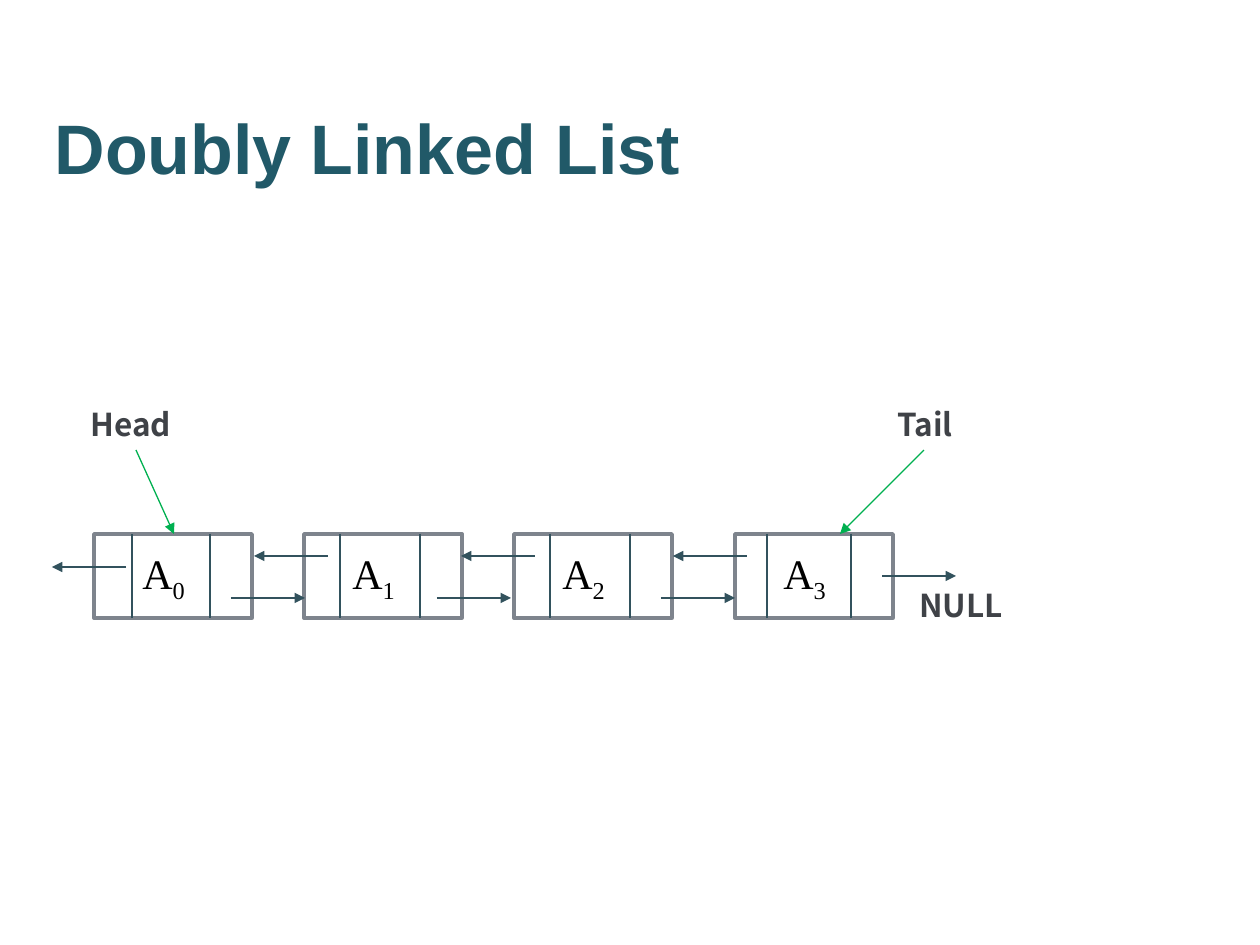
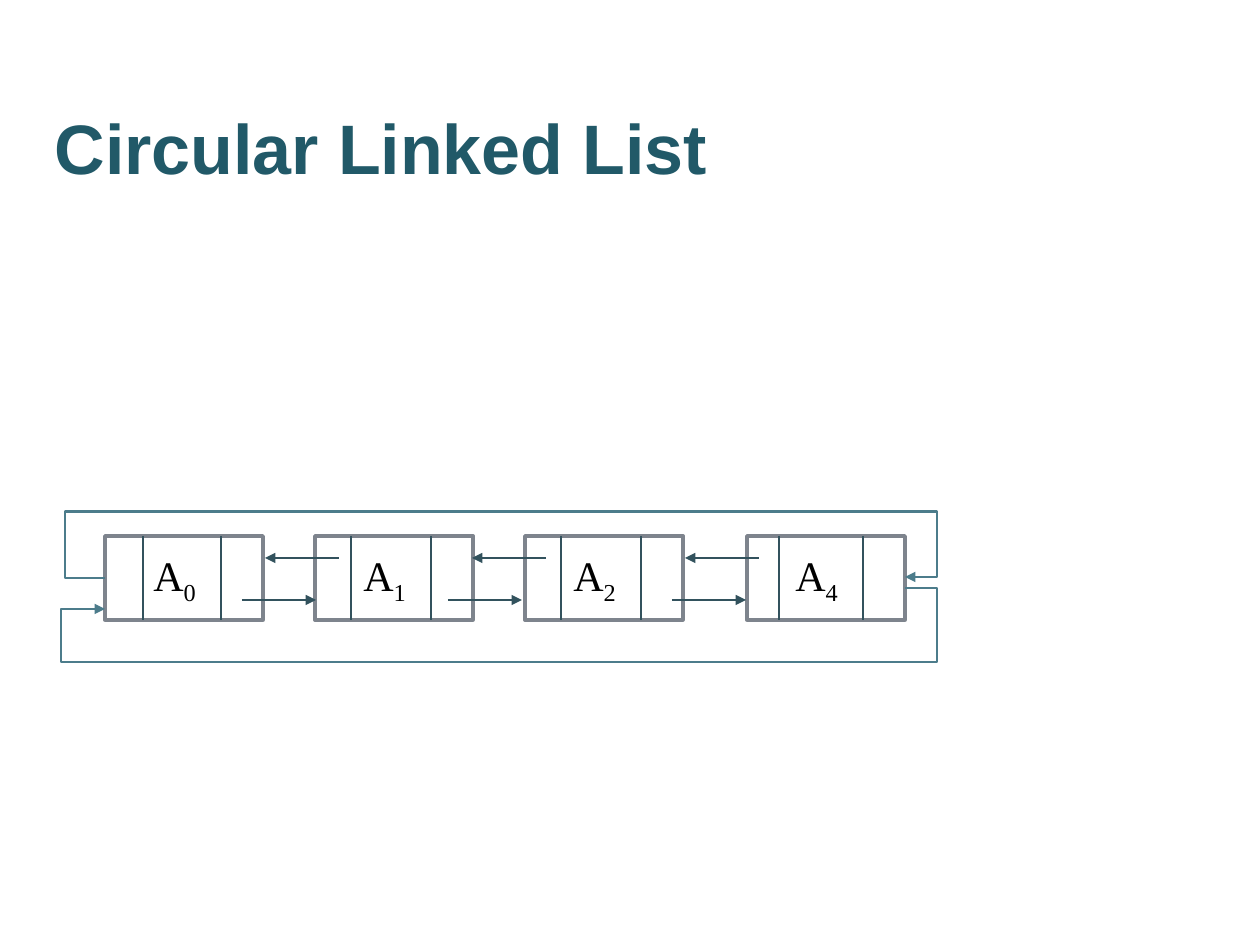
import pptx
import pptx.util
import pptx.dml.color
import pptx.enum.shapes
import pptx.enum.text
import pptx.oxml
import pptx.oxml.ns

# Content: lengths are pixels, 126 to the inch
LISTS = [
    {
        "title": "Doubly Linked List",
        "top": 534,
        "nodes": [("0", 94), ("1", 304), ("2", 514), ("3", 735)],
        "labels": [("Head", 73, 399), ("Tail", 867, 399), ("NULL", 903, 580)],
        "pointers": [(136, 450, 174, 534), (924, 450, 840, 534)],
        "ends": [(882, 576, 956, 576), (126, 567, 52, 567)],
        "loops": [],
    },
    {
        "title": "Circular Linked List",
        "top": 536,
        "nodes": [("0", 105), ("1", 315), ("2", 525), ("4", 747)],
        "labels": [],
        "pointers": [],
        "ends": [],
        # start, end, then the x, y and x that the bends pass through
        "loops": [
            ((905, 588, 105, 609), (937, 662, 61)),
            ((105, 578, 905, 577), (65, 511, 937)),
        ],
    },
]

# Node geometry, measured from the left and top of each node
NODE_W, NODE_H = 158, 84
PREV_DIVIDERS = [38, 36, 36, 32]
NEXT_DIVIDER = 116
NEXT_STARTS = [137, 133, 147]
PREV_STARTS = [24, 21, 12]
NEXT_Y, PREV_Y, ARROW_LENGTH = 64, 22, 74

# Shared style
TITLE_BOX = (42, 73, 987, 147)
LABEL_SIZE = (116, 50)
TITLE, BORDER, LINK = "215968", "7E848D", "32525D"
POINTER, LABEL, LOOP = "00B050", "3F4247", "4C7C8B"
WHITE, BLACK = "FFFFFF", "000000"

ELBOW = pptx.enum.shapes.MSO_CONNECTOR.ELBOW
STRAIGHT = pptx.enum.shapes.MSO_CONNECTOR.STRAIGHT
ALIGN = pptx.enum.text.PP_ALIGN
MIDDLE = pptx.enum.text.MSO_ANCHOR.MIDDLE
AUTO_SIZE = pptx.enum.text.MSO_AUTO_SIZE


def emu(*pixels):
    return [pptx.util.Emu(round(p * 914400 / 126)) for p in pixels]


def color(hex_string):
    return pptx.dml.color.RGBColor.from_string(hex_string)


def style(paragraph, font, size, hex_string, bold, align):
    paragraph.font.name = font
    paragraph.font.size = pptx.util.Pt(size)
    paragraph.font.color.rgb = color(hex_string)
    paragraph.font.bold = bold
    paragraph.alignment = align


def add_line(slide, ends, hex_string, width=0.75, arrow=True, kind=STRAIGHT):
    line = slide.shapes.add_connector(kind, *emu(*ends))
    line.line.color.rgb = color(hex_string)
    line.line.width = pptx.util.Pt(width)
    if arrow:
        tail = pptx.oxml.ns.qn("a:tailEnd")
        line.line._get_or_add_ln().makeelement(tail)
        outline = line.line._get_or_add_ln()
        outline.append(outline.makeelement(tail, {"type": "triangle"}))
    properties = line._element.spPr
    properties.append(properties.makeelement(pptx.oxml.ns.qn("a:effectLst")))
    return line


def add_loop(slide, ends, bends):
    """Five-part elbow whose bends are given as absolute positions."""
    loop = add_line(slide, ends, LOOP, 1.5, kind=ELBOW)
    x1, y1, x2, y2 = ends
    first_x, middle_y, last_x = bends
    ratios = [(first_x - x1) / (x2 - x1), (middle_y - y1) / (y2 - y1),
              (last_x - x1) / (x2 - x1)]
    geometry = loop._element.spPr.find(pptx.oxml.ns.qn("a:prstGeom"))
    geometry.set("prst", "bentConnector5")
    guides = geometry.get_or_add_avLst()
    for number, ratio in enumerate(ratios, 1):
        guides.append(guides.makeelement(pptx.oxml.ns.qn("a:gd"), {
            "name": f"adj{number}", "fmla": f"val {round(ratio * 100000)}"}))


def add_title(slide, text):
    title = slide.shapes.title
    title.left, title.top, title.width, title.height = emu(*TITLE_BOX)
    title.text_frame.text = text
    title.text_frame.auto_size = AUTO_SIZE.NONE
    title.text_frame.vertical_anchor = MIDDLE
    style(title.text_frame.paragraphs[0], "Arial", 40, TITLE, True, ALIGN.LEFT)


def add_node(slide, index, left, top):
    node = slide.shapes.add_shape(
        pptx.enum.shapes.MSO_SHAPE.RECTANGLE, *emu(left, top, NODE_W, NODE_H))
    node.shadow.inherit = False
    node.fill.solid()
    node.fill.fore_color.rgb = color(WHITE)
    node.line.color.rgb = color(BORDER)
    node.line.width = pptx.util.Pt(2)
    frame = node.text_frame
    frame.margin_left, frame.margin_right = emu(13, 32)
    frame.vertical_anchor = MIDDLE
    paragraph = frame.paragraphs[0]
    style(paragraph, "Times New Roman", 24, BLACK, False, ALIGN.CENTER)
    paragraph.add_run().text = "A"
    subscript = paragraph.add_run()
    subscript.text = index
    subscript.font._element.set("baseline", "-25000")


def add_label(slide, text, left, top):
    label = slide.shapes.add_textbox(*emu(left, top, *LABEL_SIZE))
    label.text_frame.word_wrap = True
    label.text_frame.auto_size = AUTO_SIZE.SHAPE_TO_FIT_TEXT
    label.text_frame.text = text
    style(label.text_frame.paragraphs[0], "Noto Sans CJK KR", 18, LABEL, True,
          ALIGN.CENTER)


deck = pptx.Presentation()
deck.slide_width, deck.slide_height = emu(1260, 945)

for content in LISTS:
    slide = deck.slides.add_slide(deck.slide_layouts[5])
    add_title(slide, content["title"])
    top = content["top"]
    lefts = [left for _, left in content["nodes"]]

    # Nodes with a field on each side
    for (index, left), prev_divider in zip(content["nodes"], PREV_DIVIDERS):
        add_node(slide, index, left, top)
        for offset in (prev_divider, NEXT_DIVIDER):
            x = left + offset
            add_line(slide, (x, top, x, top + NODE_H), LINK, arrow=False)

    # Links to the next and the previous node
    for left, offset in zip(lefts, NEXT_STARTS):
        x, y = left + offset, top + NEXT_Y
        add_line(slide, (x, y, x + ARROW_LENGTH, y), LINK)
    for left, offset in zip(lefts[1:], PREV_STARTS):
        x, y = left + offset, top + PREV_Y
        add_line(slide, (x, y, x - ARROW_LENGTH, y), LINK)

    # Ends of the list, its pointers and its loops
    for ends in content["ends"]:
        add_line(slide, ends, LINK)
    for ends in content["pointers"]:
        add_line(slide, ends, POINTER)
    for label in content["labels"]:
        add_label(slide, *label)
    for ends, bends in content["loops"]:
        add_loop(slide, ends, bends)

deck.save("out.pptx")
